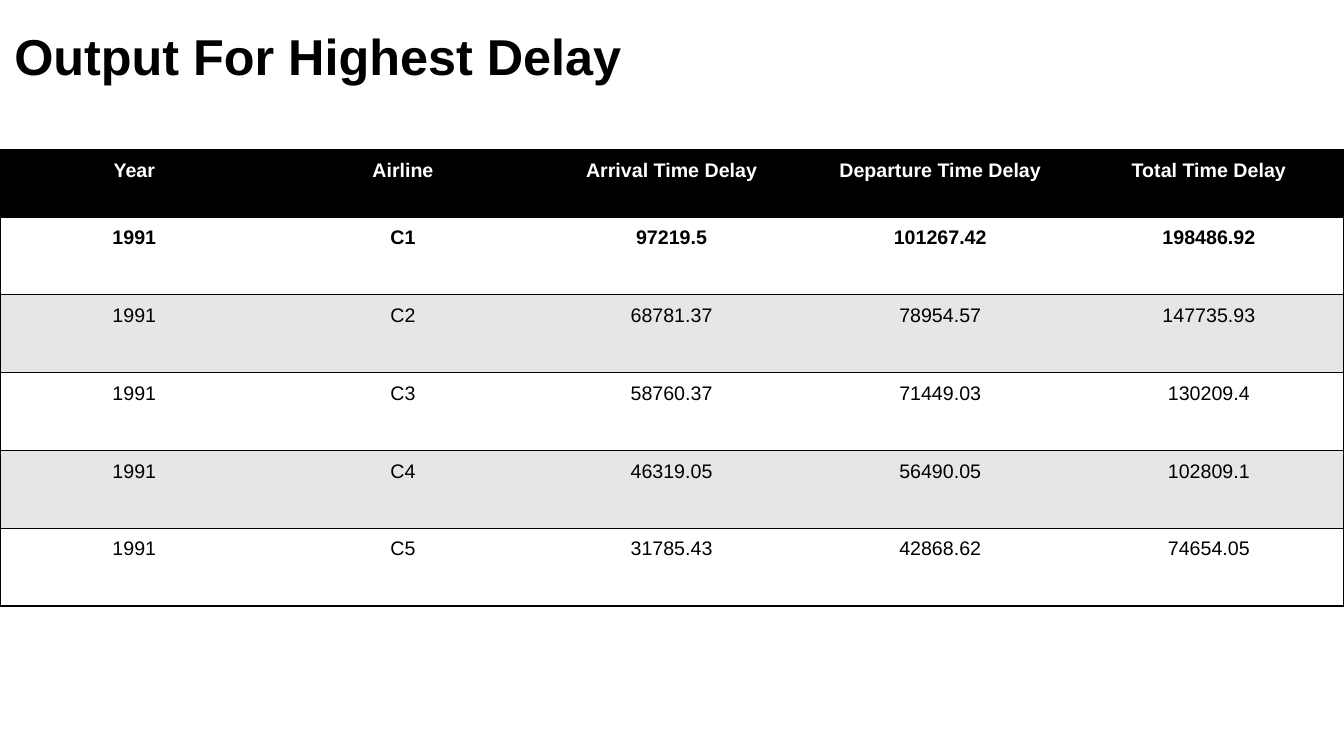
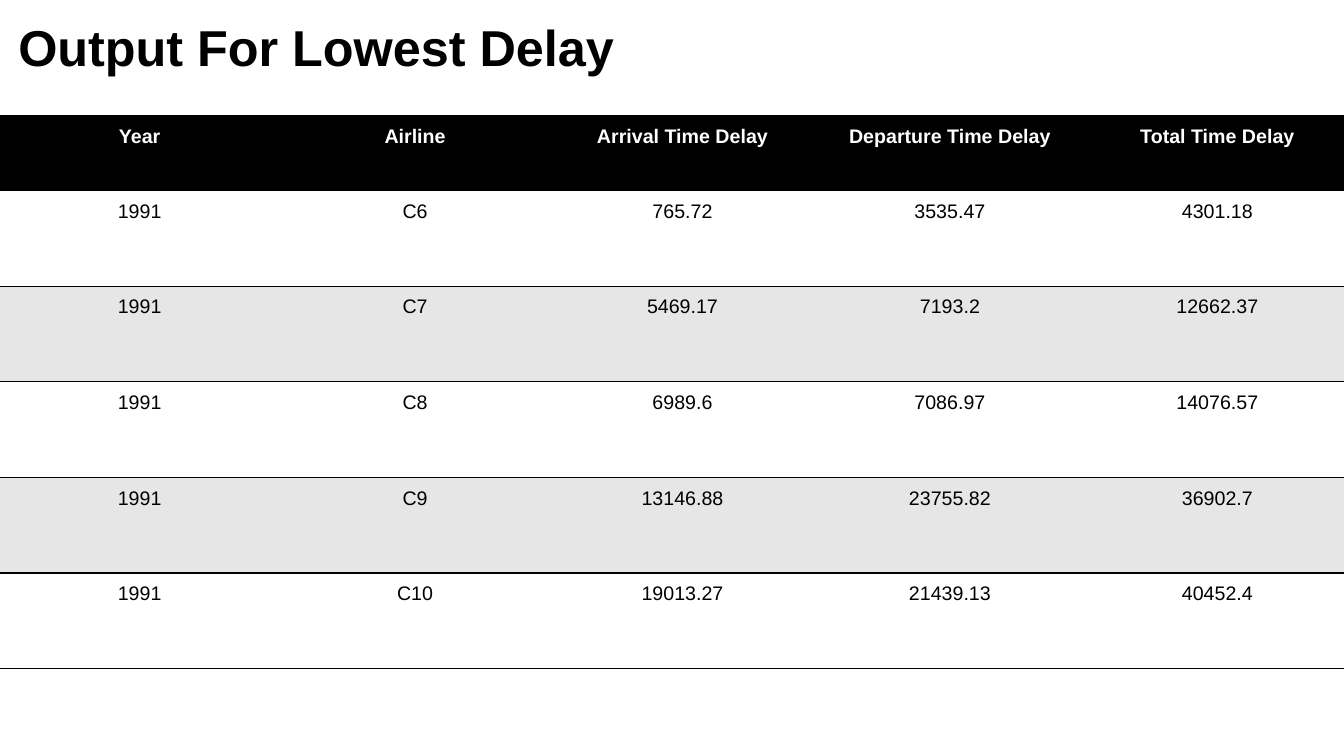
from pptx import Presentation
from pptx.dml.color import RGBColor
from pptx.enum.text import MSO_ANCHOR, MSO_AUTO_SIZE, PP_ALIGN
from pptx.oxml import parse_xml
from pptx.oxml.ns import nsdecls, qn
from pptx.util import Cm, Pt

LEFT, CENTER = PP_ALIGN.LEFT, PP_ALIGN.CENTER
TOP, FIT_SHAPE = MSO_ANCHOR.TOP, MSO_AUTO_SIZE.SHAPE_TO_FIT_TEXT

FONT = "Arial"
BLACK, WHITE, GREY = "000000", "FFFFFF", "E6E6E6"
NO_STYLE = "{2D5ABB26-0587-4C30-8999-92F81FD0307C}"
TITLE_ONLY = 5

YEAR = "1991"
HEADER = ("Year", "Airline", "Arrival Time Delay", "Departure Time Delay",
          "Total Time Delay")

# Lengths are in centimetres.
SLIDES = [
    {
        "title": "Output For Highest Delay",
        "title_box": (0.23, 0.5, 17.3, 1.7),
        "table_at": (0, 3.78),
        "col_widths": [6.77] * 5,
        "header_height": 1.69,
        "row_height": 1.96,
        "bold_rows": {1},
        "rows": [
            ("C1", "97219.5", "101267.42", "198486.92"),
            ("C2", "68781.37", "78954.57", "147735.93"),
            ("C3", "58760.37", "71449.03", "130209.4"),
            ("C4", "46319.05", "56490.05", "102809.1"),
            ("C5", "31785.43", "42868.62", "74654.05"),
        ],
    },
    {
        "title": "Output For Lowest Delay",
        "title_box": (0.33, 0.28, 16.28, 1.7),
        "table_at": (-0.05, 2.91),
        "col_widths": [7.14] + [6.74] * 4,
        "header_height": 1.89,
        "row_height": 2.41,
        "bold_rows": set(),
        "rows": [
            ("C6", "765.72", "3535.47", "4301.18"),
            ("C7", "5469.17", "7193.2", "12662.37"),
            ("C8", "6989.6", "7086.97", "14076.57"),
            ("C9", "13146.88", "23755.82", "36902.7"),
            ("C10", "19013.27", "21439.13", "40452.4"),
        ],
    },
]


def rgb(color):
    return RGBColor.from_string(color)


def set_text(tf, text, size=14, color=BLACK, bold=False, align=LEFT):
    p = tf.paragraphs[0]
    p.alignment = align
    r = p.add_run()
    r.text = text
    r.font.name, r.font.size, r.font.bold = FONT, Pt(size), bold
    r.font.color.rgb = rgb(color)


def set_margins(box, margin):
    """Apply one inner margin to all sides of a cell or text frame."""
    box.margin_left = box.margin_right = Cm(margin)
    box.margin_top = box.margin_bottom = Cm(margin)


def add_borders(cell, sides, color=BLACK, width=1):
    """Draw cell borders; sides must follow the schema order L, R, T, B."""
    tcPr = cell._tc.get_or_add_tcPr()
    for side in sides:
        tcPr.append(parse_xml(
            f'<a:ln{side} {nsdecls("a")} w="{Pt(width)}"><a:solidFill>'
            f'<a:srgbClr val="{color}"/></a:solidFill></a:ln{side}>'))


def add_title(s, text, box):
    sp = s.shapes.title
    sp.left, sp.top, sp.width, sp.height = map(Cm, box)
    tf = sp.text_frame
    tf.word_wrap = True
    tf.auto_size = FIT_SHAPE
    tf.vertical_anchor = TOP
    set_margins(tf, 0.13)
    set_text(tf, text, size=36, bold=True)


def add_delay_table(s, data):
    rows = [HEADER] + [(YEAR, *row) for row in data["rows"]]
    widths = data["col_widths"]
    heights = [data["header_height"]] + [data["row_height"]] * len(data["rows"])
    frame = s.shapes.add_table(len(rows), len(widths),
                               *map(Cm, data["table_at"]),
                               Cm(sum(widths)), Cm(sum(heights)))
    for style in frame.element.iter(qn("a:tableStyleId")):
        style.text = NO_STYLE
    table = frame.table
    for col, width in zip(table.columns, widths):
        col.width = Cm(width)
    for row, height in zip(table.rows, heights):
        row.height = Cm(height)

    last = len(widths) - 1
    for i, row in enumerate(rows):
        is_header = i == 0
        fill = BLACK if is_header else WHITE if i % 2 else GREY
        for j, text in enumerate(row):
            cell = table.cell(i, j)
            set_margins(cell, 0.25)
            outer = {0: "L", last: "R"}.get(j, "")
            add_borders(cell, outer + "TB")
            cell.fill.solid()
            cell.fill.fore_color.rgb = rgb(fill)
            set_text(cell.text_frame, text, align=CENTER,
                     color=WHITE if is_header else BLACK,
                     bold=is_header or i in data["bold_rows"])


def main():
    prs = Presentation()
    prs.slide_width, prs.slide_height = Cm(33.87), Cm(19.05)
    for data in SLIDES:
        s = prs.slides.add_slide(prs.slide_layouts[TITLE_ONLY])
        add_delay_table(s, data)
        add_title(s, data["title"], data["title_box"])
    prs.save("out.pptx")


if __name__ == "__main__":
    main()
